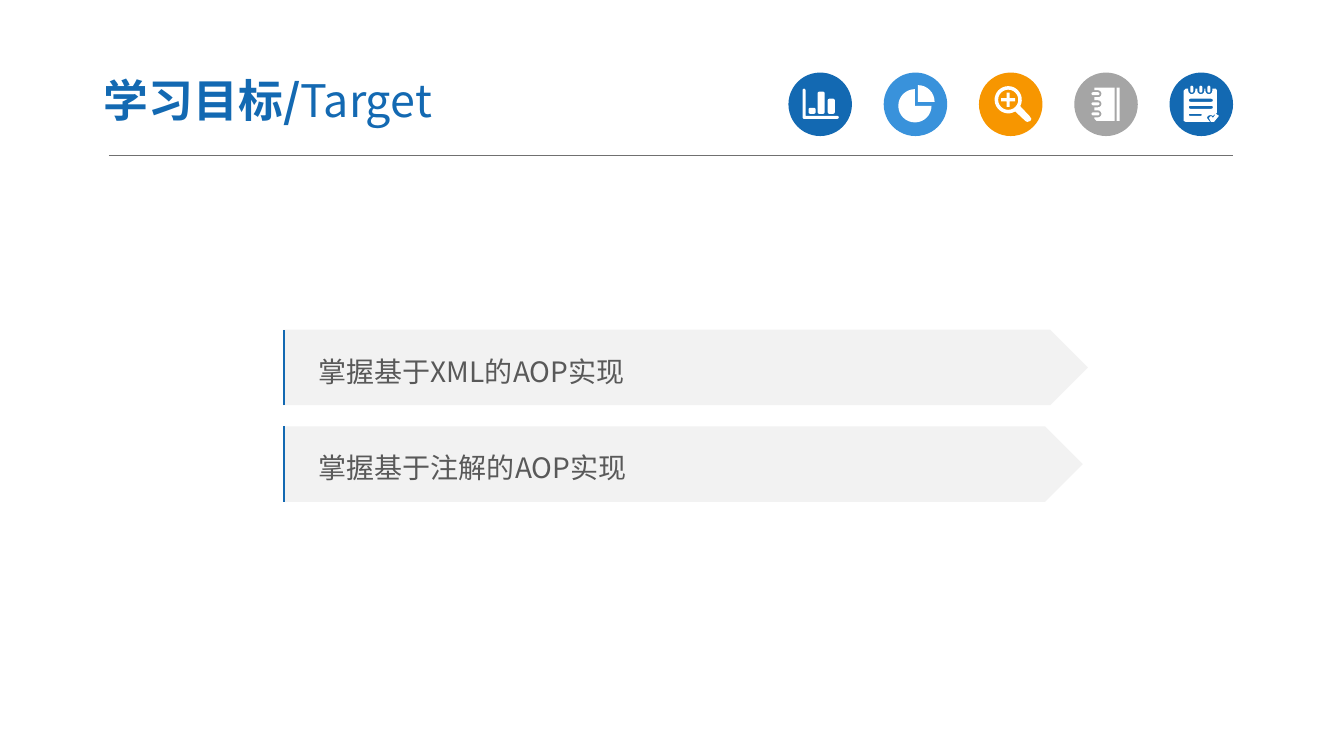
import math
import pptx
import pptx.util
import pptx.dml.color
import pptx.enum.shapes
import pptx.enum.text
import pptx.oxml.ns
import lxml.etree

Inches, Pt = pptx.util.Inches, pptx.util.Pt
SHAPE = pptx.enum.shapes.MSO_SHAPE
MIDDLE = pptx.enum.text.MSO_ANCHOR.MIDDLE
LEFT = pptx.enum.text.PP_ALIGN.LEFT

# Content
FACE = "Noto Sans CJK SC"
BLUE, SKY, AMBER, GRAY = "1369B2", "3992DB", "F79600", "A5A5A5"
WHITE, PALE, TEXT, RULE = "FFFFFF", "F2F2F2", "595959", "707070"

TITLE = [("学习目标/", True), ("Target", False)]
GOALS = [("掌握基于XML的AOP实现", 7.98), ("掌握基于注解的AOP实现", 7.93)]


# Outline pieces: lists of points in inches from the corner of a disc
def arc(x, y, r, start, end, steps):
    turns = [math.radians(start + (end - start) * i / steps)
             for i in range(steps + 1)]
    return [(x + r * math.cos(t), y + r * math.sin(t)) for t in turns]


def bar(x, y, w, h, r=0.015):
    right, low = x + w - r, y + h - r
    return (arc(x + r, y + r, r, 180, 270, 2) + arc(right, y + r, r, 270, 360, 2)
            + arc(right, low, r, 0, 90, 2) + arc(x + r, low, r, 90, 180, 2))


def chart():
    axis = (arc(0.155, 0.175, 0.015, 180, 360, 4) + [(0.17, 0.43)]
            + arc(0.485, 0.445, 0.015, -90, 90, 4)
            + arc(0.155, 0.445, 0.015, 90, 180, 2))
    bars = [(0.2, 0.35), (0.29, 0.19), (0.39, 0.26)]
    return [axis] + [bar(x, y, 0.07, 0.41 - y) for x, y in bars]


def pie():
    return [[(0.31, 0.33)] + arc(0.31, 0.33, 0.165, 0, 270, 24),
            [(0.34, 0.29)] + arc(0.34, 0.29, 0.165, -90, 0, 8)]


def lens():
    x, y, thin, far = 0.29, 0.27, 0.015, 0.07
    grip = [(0.5, 0.43), (0.52, 0.46), (0.51, 0.48), (0.48, 0.49), (0.46, 0.48)]
    plus = []
    for a, b in ((1, 0), (0, 1), (-1, 0), (0, -1)):
        for along, side in ((thin, -thin), (far, -thin), (far, thin)):
            plus.append((x + a * along - b * side, y + b * along + a * side))
    return [arc(x, y, 0.135, 59, 388, 28) + grip, arc(x, y, 0.1, 0, 360, 24), plus]


def book():
    mids = (0.41, 0.31, 0.21)
    page = [(0.2, 0.15), (0.4, 0.15), (0.4, 0.48), (0.22, 0.48), (0.2, 0.46)]
    for mid in mids:
        page += [(0.2, mid + 0.035), *arc(0.235, mid, 0.035, 90, -90, 6),
                 (0.2, mid - 0.035)]
    spine = [(0.42, 0.15), (0.45, 0.15), (0.45, 0.48), (0.42, 0.48)]
    return [page, spine] + [bar(0.17, mid - 0.015, 0.08, 0.03) for mid in mids]


def pad():
    mids = (0.22, 0.31, 0.39)
    page = [(0.14, 0.18), (0.16, 0.16)]
    for mid in mids:
        page += [(mid - 0.035, 0.16), *arc(mid, 0.18, 0.035, 180, 0, 6),
                 (mid + 0.035, 0.16)]
    page += [(0.46, 0.16), (0.47, 0.18), (0.47, 0.4), (0.43, 0.43),
             (0.41, 0.42), (0.38, 0.43), (0.37, 0.45), (0.4, 0.49),
             (0.16, 0.49), (0.14, 0.48)]
    lines = [bar(0.19, 0.26, 0.24, 0.03), bar(0.19, 0.33, 0.24, 0.03),
             bar(0.19, 0.41, 0.13, 0.02, 0.01)]
    tick = [(0.39, 0.45), (0.41, 0.43), (0.43, 0.45), (0.46, 0.41),
            (0.49, 0.43), (0.44, 0.49), (0.41, 0.49)]
    rings = [bar(mid - 0.015, 0.13, 0.03, 0.07) for mid in mids]
    return [page, *lines, tick, *rings]


ICONS = [(BLUE, chart), (SKY, pie), (AMBER, lens), (GRAY, book), (BLUE, pad)]


def paint(part, code):
    part.rgb = pptx.dml.color.RGBColor.from_string(code)


def apply(thing, values):
    for name, value in values.items():
        setattr(thing, name, value)


def coat(item, code):
    item.shadow.inherit = False
    item.fill.solid()
    paint(item.fill.fore_color, code)
    item.line.fill.background()
    return item


def shape(home, kind, box, code):
    return coat(home.add_shape(kind, *map(Inches, box)), code)


def trace(home, loops, left, top):
    spots = [[(Inches(left + x), Inches(top + y)) for x, y in loop]
             for loop in loops]
    pen = home.build_freeform(*spots[0][0])
    for i, loop in enumerate(spots):
        if i:
            pen.move_to(*loop[0])
        pen.add_line_segments(loop[1:], close=True)
    return coat(pen.convert_to_shape(), WHITE)


def edge(home, x, y, high):
    pen = home.build_freeform(Inches(x), Inches(y + high))
    pen.add_line_segments([(Inches(x), Inches(y))], close=False)
    pen.move_to(Inches(x + 0.12), Inches(y))
    item = pen.convert_to_shape()
    item.shadow.inherit = False
    item.fill.background()
    paint(item.line.color, BLUE)
    item.line.width = Pt(1.5)


def write(para, text, code, values):
    run = para.add_run()
    run.text = text
    apply(run.font, {"name": FACE, **values})
    paint(run.font.color, code)
    east = lxml.etree.SubElement(
        run._r.get_or_add_rPr(), pptx.oxml.ns.qn("a:ea"))
    east.set("typeface", FACE)


def frame(item, left, rim):
    apply(item.text_frame, {
        "word_wrap": True, "vertical_anchor": MIDDLE,
        "margin_left": Inches(left), "margin_right": Inches(0.1),
        "margin_top": Inches(rim), "margin_bottom": Inches(rim)})
    return item.text_frame.paragraphs[0]


def main():
    deck = pptx.Presentation()
    apply(deck, {"slide_width": Inches(13.33), "slide_height": Inches(7.5)})
    slide = deck.slides.add_slide(deck.slide_layouts[6])
    shapes = slide.shapes

    # Header rule
    line = shapes.add_connector(
        pptx.enum.shapes.MSO_CONNECTOR.STRAIGHT,
        *map(Inches, (1.08, 1.54, 12.23, 1.54)))
    paint(line.line.color, RULE)
    line.line.width = Pt(0.5)
    lxml.etree.SubElement(line._element.spPr, pptx.oxml.ns.qn("a:effectLst"))

    # Icons
    top, size = 0.72, 0.63
    for i, (code, draw) in enumerate(ICONS):
        left = 7.82 + 0.945 * i
        group = shapes.add_group_shape().shapes
        shape(group, SHAPE.OVAL, (left, top, size, size), code)
        trace(group, draw(), left, top)

    # Title
    title = shapes.add_textbox(*map(Inches, (0.9, 0.63, 5.22, 0.72)))
    para = frame(title, 0.13, 0.07)
    for text, bold in TITLE:
        write(para, text, BLUE, {"size": Pt(32), "bold": bold})

    # Goals
    left, high = 2.81, 0.75
    for i, (text, wide) in enumerate(GOALS):
        y = 3.27 + 0.96 * i
        group = shapes.add_group_shape().shapes
        plate = shape(group, SHAPE.PENTAGON, (left, y, wide, high), PALE)
        para = frame(plate, 0.35, 0.05)
        apply(para, {"alignment": LEFT, "line_spacing": 1.2})
        write(para, text, TEXT, {"size": Pt(20)})
        edge(group, left + 0.01, y, high)

    deck.save("out.pptx")


if __name__ == "__main__":
    main()
